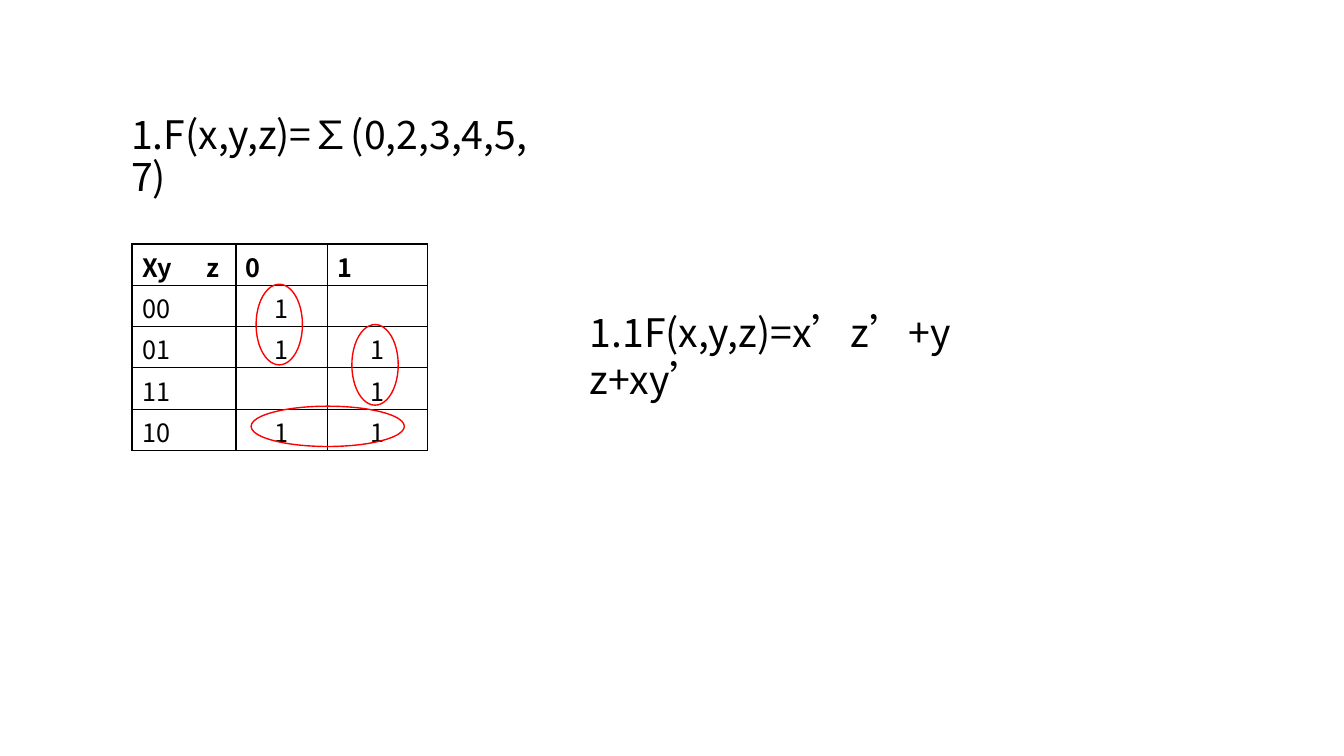
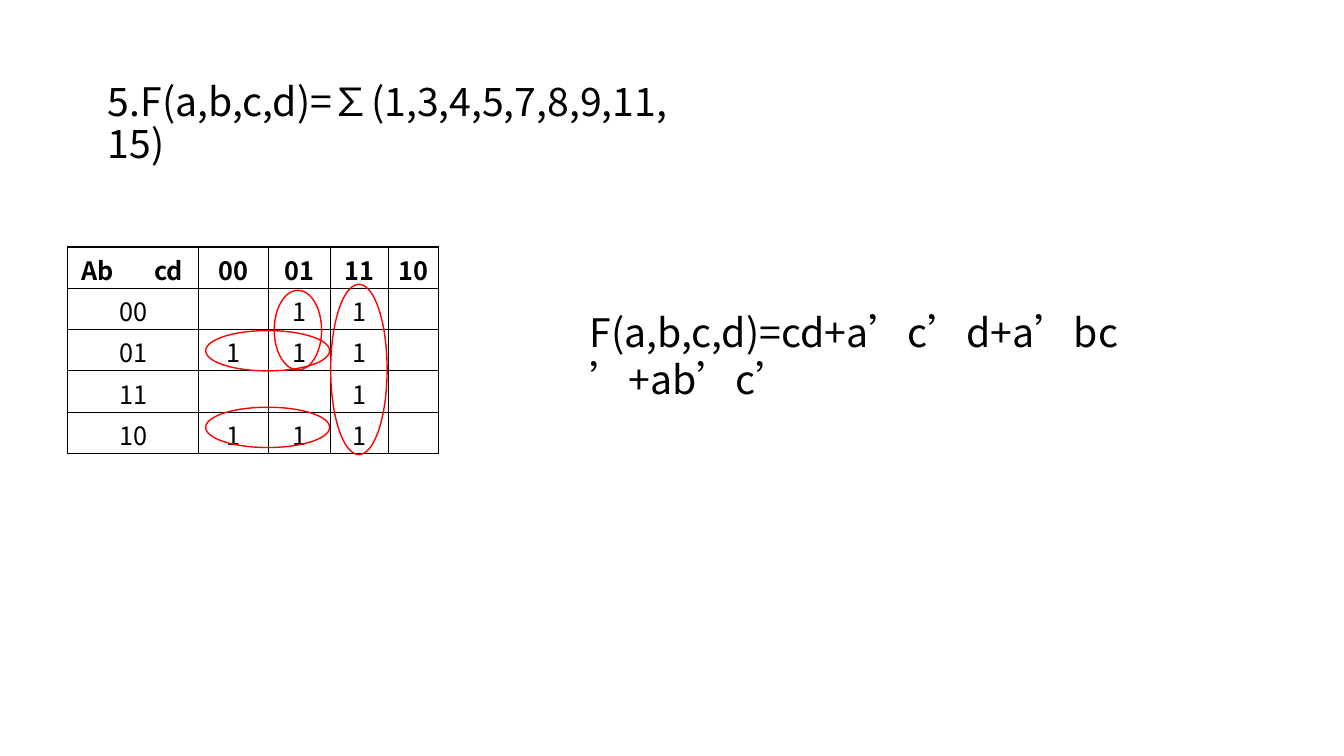
from lxml import etree
from pptx import Presentation
from pptx.dml.color import RGBColor
from pptx.enum.shapes import MSO_SHAPE as SHAPE
from pptx.enum.text import MSO_ANCHOR as ANCHOR, MSO_AUTO_SIZE as FIT, PP_ALIGN as ALIGN
from pptx.oxml.ns import qn
from pptx.util import Inches, Pt

BLACK = RGBColor(0, 0, 0)
RED = RGBColor(0xFF, 0, 0)
FONT = "Noto Sans CJK SC"
TITLE_LAYOUT = 5
ROW_H = 0.41
ROW_LABELS = ["00", "01", "11", "10"]


def style(p, size, bold=False, align=ALIGN.LEFT):
    p.alignment = align
    p.font.size, p.font.bold = Pt(size), bold
    p.font.name = FONT
    p.font.color.rgb = BLACK
    # The East Asian font and language give full-width quotes
    for r in p.runs:
        rpr = r.font._element
        rpr.set("lang", "zh-CN")
        etree.SubElement(rpr, qn("a:ea"), typeface=FONT)


def write_line(sp, box, text, spacing):
    sp.left, sp.top, sp.width, sp.height = map(Inches, box)
    tf = sp.text_frame
    tf.word_wrap, tf.auto_size = True, FIT.NONE
    tf.vertical_anchor = ANCHOR.TOP
    p = tf.paragraphs[0]
    p.text = text
    p.line_spacing = Pt(spacing)
    style(p, 28)


def add_formula(slide, box, text):
    write_line(slide.shapes.add_textbox(0, 0, 0, 0), box, text, 33.6)


def set_borders(cell):
    tcpr = cell._tc.get_or_add_tcPr()
    for side in ("lnL", "lnR", "lnT", "lnB"):
        ln = etree.SubElement(tcpr, qn("a:" + side), w=str(Pt(1)))
        fill = etree.SubElement(ln, qn("a:solidFill"))
        etree.SubElement(fill, qn("a:srgbClr"), val=str(BLACK))


def add_tab(p, pos):
    tabs = etree.SubElement(p._p.get_or_add_pPr(), qn("a:tabLst"))
    etree.SubElement(tabs, qn("a:tab"), pos=str(Inches(pos)), algn="l")


def add_map(slide, left, top, widths, header, ones, groups, corner, label_align):
    """Karnaugh map; groups are ellipse boxes relative to its top left."""
    rows = [header] + [[label] + ["1" if c == "1" else "" for c in line]
                       for label, line in zip(ROW_LABELS, ones)]
    frame = slide.shapes.add_table(
        len(rows), len(widths), Inches(left), Inches(top),
        Inches(sum(widths)), Inches(ROW_H * len(rows)))
    table = frame.table
    table.first_row = table.horz_banding = False
    for col, width in zip(table.columns, widths):
        col.width = Inches(width)
    for i, row in enumerate(rows):
        table.rows[i].height = Inches(ROW_H)
        for j, text in enumerate(row):
            cell = table.cell(i, j)
            set_borders(cell)
            cell.fill.background()
            cell.margin_top, cell.margin_bottom = Inches(0.04), 0
            p = cell.text_frame.paragraphs[0]
            p.text = text
            is_label = i == 0 or j == 0
            style(p, 18, i == 0, label_align if is_label else ALIGN.CENTER)

    # Corner cell: row variables, then column variables at a tab stop
    margin, tab = corner
    cell = table.cell(0, 0)
    cell.margin_left = Inches(margin)
    p = cell.text_frame.paragraphs[0]
    p.alignment = ALIGN.LEFT
    add_tab(p, tab)

    # Rings around adjacent ones
    for x, y, w, h in groups:
        ring = slide.shapes.add_shape(
            SHAPE.OVAL, Inches(left + x), Inches(top + y), Inches(w), Inches(h))
        ring.shadow.inherit = False
        ring.fill.background()
        ring.line.color.rgb = RED
        ring.line.width = Pt(1)


def add_exercise(prs, title_box, title, formula_box, formula, kmap):
    slide = prs.slides.add_slide(prs.slide_layouts[TITLE_LAYOUT])
    write_line(slide.shapes.title, title_box, title, 30.2)
    add_map(slide, **kmap)
    add_formula(slide, formula_box, formula)


def main():
    prs = Presentation()
    prs.slide_width, prs.slide_height = Inches(13.33), Inches(7.5)

    # Three variables
    add_exercise(
        prs, (1.2, 1.09, 4.17, 0.53), "1.F(x,y,z)=∑(0,2,3,4,5,7)",
        (5.75, 3.01, 3.95, 0.57), "1.1F(x,y,z)=x’z’+yz+xy’",
        dict(left=1.31, top=2.42, widths=[1.03, 0.91, 0.99],
             header=["Xy\tz", "0", "1"], ones=["1.", "11", ".1", "11"],
             groups=[(1.23, 0.4, 0.46, 0.8), (2.18, 0.8, 0.46, 0.8),
                     (1.18, 1.61, 1.52, 0.4)],
             corner=(0.1, 0.64), label_align=ALIGN.LEFT))

    # Four variables
    add_exercise(
        prs, (0.97, 0.76, 5.84, 0.53), "5.F(a,b,c,d)=∑(1,3,4,5,7,8,9,11,15)",
        (5.75, 3.01, 5.47, 0.57), "F(a,b,c,d)=cd+a’c’d+a’bc’+ab’c’",
        dict(left=0.67, top=2.45, widths=[1.3, 0.69, 0.62, 0.57, 0.5],
             header=["Ab\tcd", "00", "01", "11", "10"],
             ones=[".11.", "111.", "..1.", "111."],
             groups=[(2.61, 0.37, 0.56, 1.69), (2.05, 0.43, 0.47, 0.79),
                     (1.37, 0.83, 1.23, 0.4), (1.37, 1.59, 1.23, 0.4)],
             corner=(0.14, 0.72), label_align=ALIGN.CENTER))

    prs.save("out.pptx")


if __name__ == "__main__":
    main()
